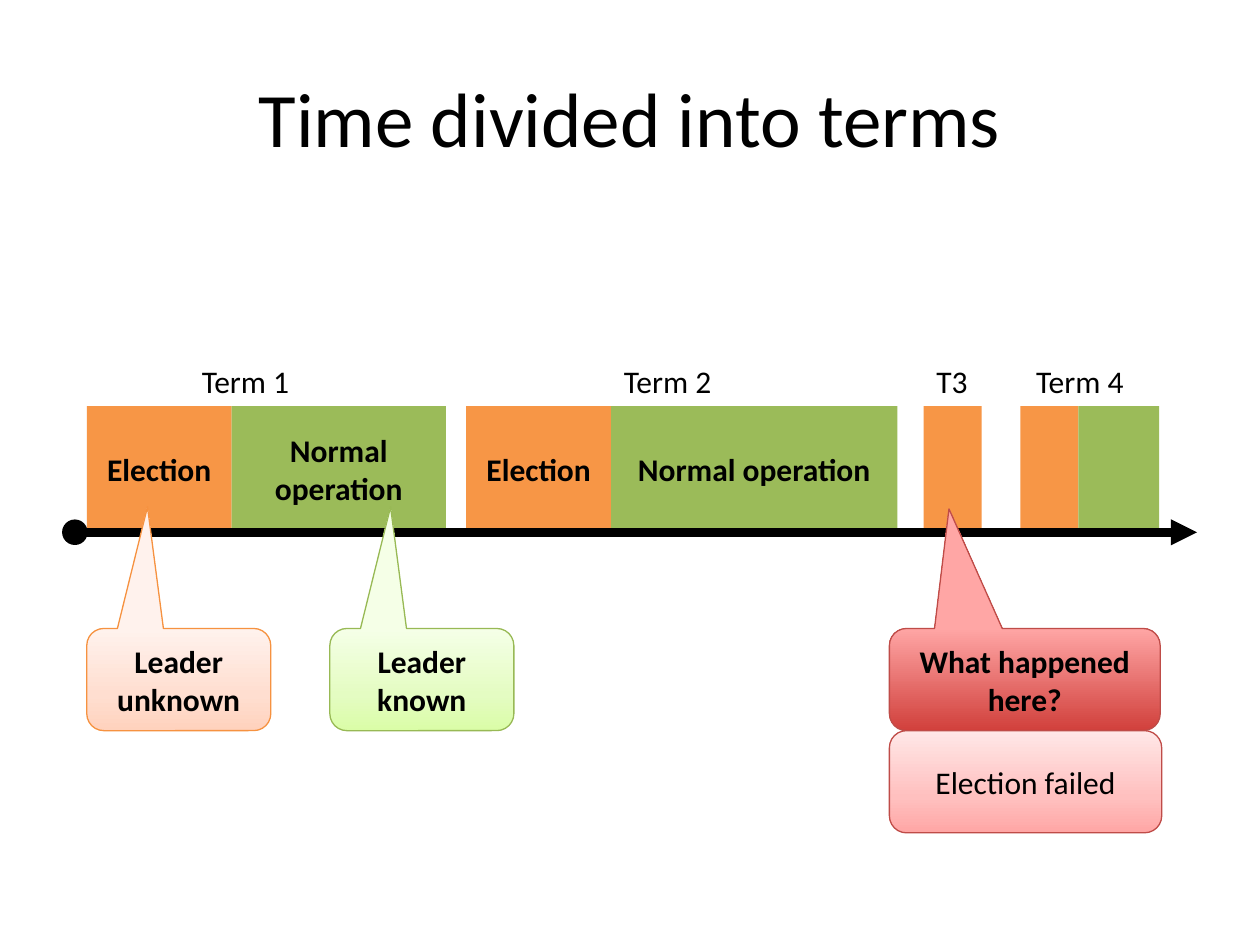
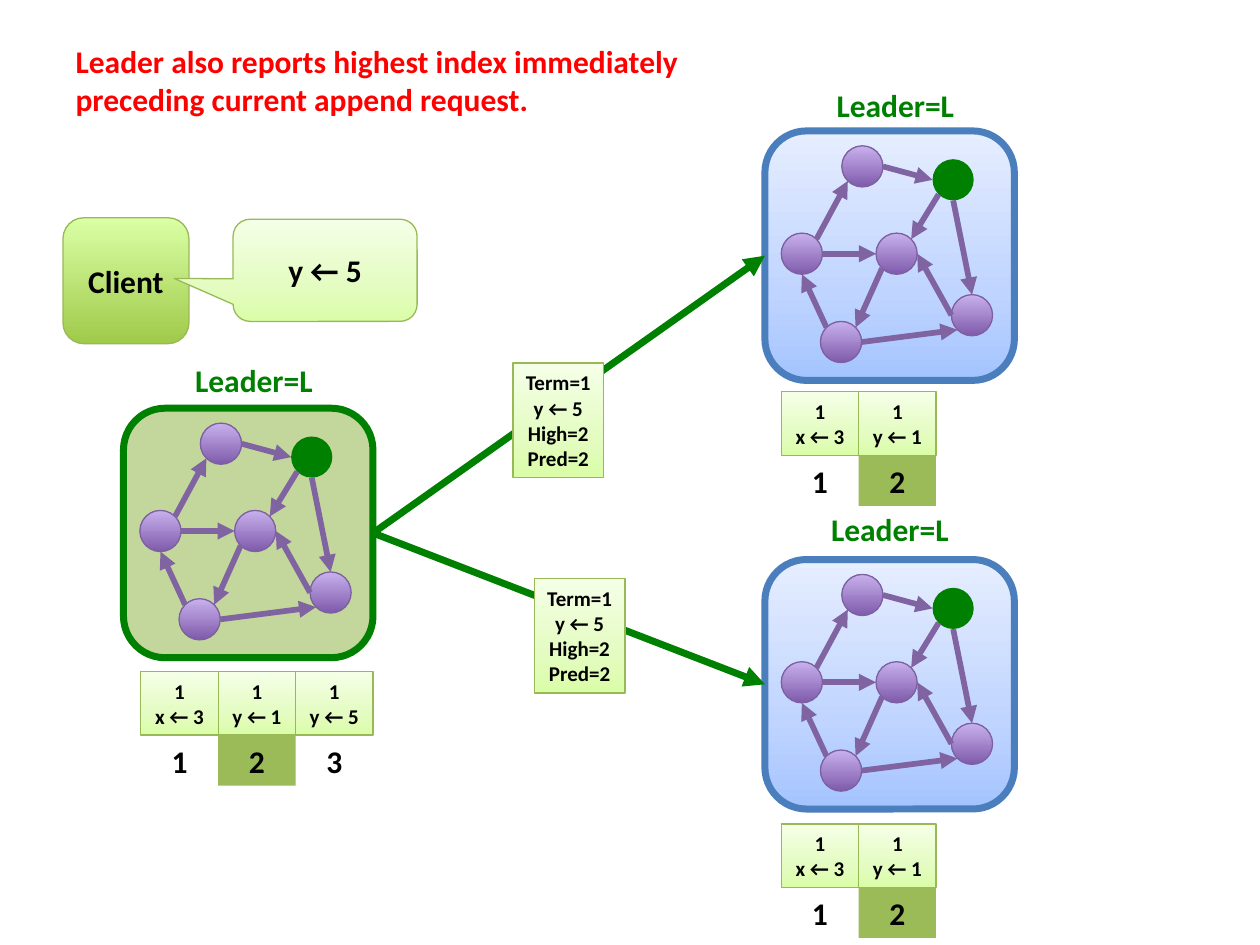
"""Build two slides on consensus: time divided into terms, and a leader's append request."""
from copy import deepcopy
from math import cos, radians, sin

from lxml.etree import SubElement
from pptx import Presentation
from pptx.dml.color import RGBColor
from pptx.enum.shapes import MSO_CONNECTOR, MSO_SHAPE
from pptx.enum.text import MSO_ANCHOR, PP_ALIGN
from pptx.oxml.ns import qn
from pptx.util import Cm, Pt

BLACK = RGBColor(0x00, 0x00, 0x00)
RED = RGBColor(0xFF, 0x00, 0x00)
GREEN = RGBColor(0x00, 0x80, 0x00)
ELECTION = RGBColor(0xF7, 0x96, 0x46)
NORMAL = RGBColor(0x9B, 0xBB, 0x59)
LEADER_PANEL = RGBColor(0xC3, 0xD6, 0x9B)
ORANGE_EDGE = RGBColor(0xF6, 0x92, 0x40)
GREEN_EDGE = RGBColor(0x98, 0xB9, 0x55)
RED_EDGE = RGBColor(0xBF, 0x4C, 0x48)
BLUE_EDGE = RGBColor(0x4B, 0x7E, 0xBC)
NODE_EDGE = RGBColor(0x7D, 0x60, 0xA0)
LINK = RGBColor(0x80, 0x64, 0xA2)
ORANGE_TINT = [(0, RGBColor(0xFF, 0xD2, 0xBD)), (0.35, RGBColor(0xFF, 0xDE, 0xD0)), (1, RGBColor(0xFF, 0xF2, 0xED))]
GREEN_TINT = [(0, RGBColor(0xDA, 0xFD, 0xA7)), (0.35, RGBColor(0xE4, 0xFC, 0xC2)), (1, RGBColor(0xF5, 0xFF, 0xE7))]
RED_TINT = [(0, RGBColor(0xFF, 0xA6, 0xA5)), (0.35, RGBColor(0xFF, 0xC0, 0xBF)), (1, RGBColor(0xFF, 0xE7, 0xE7))]
BLUE_TINT = [(0, RGBColor(0xA4, 0xC4, 0xFF)), (0.35, RGBColor(0xBF, 0xD4, 0xFF)), (1, RGBColor(0xE6, 0xEE, 0xFF))]
RED_SHADE = [(0, RGBColor(0xD1, 0x40, 0x3C)), (1, RGBColor(0xFF, 0xA6, 0xA5))]
GREEN_SHADE = [(0, RGBColor(0xA0, 0xCA, 0x4A)), (1, RGBColor(0xDA, 0xFF, 0xA5))]
PURPLE_SHADE = [(0, RGBColor(0x7F, 0x5B, 0xAB)), (1, RGBColor(0xC8, 0xB0, 0xED))]

BODY = {"name": "Calibri", "size": Pt(18), "bold": False}
STRONG = {**BODY, "bold": True}
SMALL = {**STRONG, "size": Pt(12)}
TITLE = {**BODY, "size": Pt(44)}


def block(slide, kind, box, text="", fill=None, edge=None, weight=0.75,
          style=STRONG, color=BLACK, wrap=True, adjust=()):
    """Add a shape, or a text box when kind is None, with box given in centimetres."""
    place = [Cm(length) for length in box]
    shape = slide.shapes.add_shape(kind, *place) if kind else slide.shapes.add_textbox(*place)
    shape.shadow.inherit = False
    for index, value in enumerate(adjust):
        shape.adjustments[index] = value
    if fill is None:
        shape.fill.background()
    elif isinstance(fill, list):
        shape.fill.gradient()
        shape.fill.gradient_angle = 90
        stops = shape._element.spPr.find(".//" + qn("a:gsLst"))
        while len(stops) < len(fill):
            stops.append(deepcopy(stops[0]))
        for stop, (position, tone) in zip(shape.fill.gradient_stops, fill):
            stop.position = position
            stop.color.rgb = tone
    else:
        shape.fill.solid()
        shape.fill.fore_color.rgb = fill
    if edge is None:
        shape.line.fill.background()
    else:
        shape.line.color.rgb = edge
        shape.line.width = Pt(weight)
    if text:
        frame = shape.text_frame
        frame.text = text
        frame.word_wrap = wrap
        frame.vertical_anchor = MSO_ANCHOR.MIDDLE
        for paragraph in frame.paragraphs:
            paragraph.alignment = PP_ALIGN.CENTER
            paragraph.font.color.rgb = color
            for attribute, value in style.items():
                setattr(paragraph.font, attribute, value)
    return shape


def arrow(slide, start, end, color, weight):
    """Add a straight arrow between two points in centimetres."""
    line = slide.shapes.add_connector(MSO_CONNECTOR.STRAIGHT, *(Cm(value) for value in (*start, *end)))
    line.line.color.rgb = color
    line.line.width = Pt(weight)
    SubElement(line.line._get_or_add_ln(), qn("a:tailEnd"), type="triangle")
    SubElement(line._element.spPr, qn("a:effectLst"))
    return line


deck = Presentation()
deck.slide_width, deck.slide_height = Cm(25.4), Cm(19.05)
terms_slide, append_slide = [deck.slides.add_slide(deck.slide_layouts[5]) for _ in range(2)]

headings = [
    (terms_slide, "Time divided into terms", (1.27, 0.76, 22.86, 3.18), TITLE, BLACK, PP_ALIGN.CENTER),
    (append_slide, "Leader also reports highest index immediately preceding current append request.",
     (1.27, 0.71, 13.74, 1.8), STRONG, RED, PP_ALIGN.LEFT),
]
for slide, words, box, style, color, alignment in headings:
    heading = slide.shapes.title
    heading.left, heading.top, heading.width, heading.height = [Cm(length) for length in box]
    heading.text_frame.text = words
    heading.text_frame.vertical_anchor = MSO_ANCHOR.MIDDLE
    paragraph = heading.text_frame.paragraphs[0]
    paragraph.alignment = alignment
    paragraph.font.color.rgb = color
    for attribute, value in style.items():
        setattr(paragraph.font, attribute, value)

PHASE_TOP, PHASE_HEIGHT, AXIS_Y, LABEL_WIDTH = 8.19, 2.54, 10.73, 2.29
terms = [
    ("Term 1", 4.95, 1.75, [("Election", 2.92, ELECTION), ("Normal operation", 4.32, NORMAL)]),
    ("Term 2", 13.46, 9.4, [("Election", 2.92, ELECTION), ("Normal operation", 5.77, NORMAL)]),
    ("T3", 19.19, 18.62, [("", 1.17, ELECTION)]),
    ("Term 4", 21.77, 20.57, [("", 1.17, ELECTION), ("", 1.63, NORMAL)]),
]
for term, center, left, phases in terms:
    block(terms_slide, None, (center - LABEL_WIDTH / 2, 7.16, LABEL_WIDTH, 1.02), term, style=BODY, wrap=False)
    for phase, width, color in phases:
        block(terms_slide, MSO_SHAPE.RECTANGLE, (left, PHASE_TOP, width, PHASE_HEIGHT), phase, color)
        left += width

arrow(terms_slide, (1.27, AXIS_Y), (24.13, AXIS_Y), BLACK, 5)
block(terms_slide, MSO_SHAPE.OVAL, (1.27, AXIS_Y - 0.24, 0.48, 0.48), fill=BLACK, edge=BLACK, weight=1)

remarks = [
    ("Leader unknown", 1.75, 3.71, ORANGE_TINT, ORANGE_EDGE, (-0.17, -1.69)),
    ("Leader known", 6.65, 3.71, GREEN_TINT, GREEN_EDGE, (-0.17, -1.69)),
    ("What happened here?", 17.93, 5.46, RED_SHADE, RED_EDGE, (-0.28, -1.67)),
]
for remark, left, width, fill, edge, tip in remarks:
    block(terms_slide, MSO_SHAPE.ROUNDED_RECTANGULAR_CALLOUT, (left, 12.67, width, 2.06),
          remark, fill, edge, adjust=tip)
block(terms_slide, MSO_SHAPE.ROUNDED_RECTANGLE, (17.93, 14.73, 5.49, 2.06), "Election failed",
      RED_TINT, RED_EDGE, style=BODY)

PANEL, NODE, CELL, CELL_HEIGHT = 5.03, 0.83, 1.56, 1.28
nodes = {"west": (0.33, 2.06), "south": (1.12, 3.84), "hub": (2.24, 2.06),
         "leader": (3.38, 0.57), "east": (3.76, 3.3), "north": (1.55, 0.3)}
links = [("west", -45, "north", 135), ("leader", 90, "east", -90), ("south", 0, "east", 135),
         ("leader", 135, "hub", -45), ("west", 0, "hub", 180), ("east", 180, "hub", 0),
         ("hub", 135, "south", -45), ("south", -135, "west", 90), ("north", 0, "leader", 180)]
FOLLOWER_LOG = ["x ← 3", "y ← 1"]
servers = [
    (15.42, 2.64, BLUE_TINT, BLUE_EDGE, (16.59, 1.6), (15.75, 7.9), FOLLOWER_LOG),
    (15.42, 11.28, BLUE_TINT, BLUE_EDGE, (16.48, 10.16), (15.75, 16.61), FOLLOWER_LOG),
    (2.49, 8.23, LEADER_PANEL, GREEN, (3.66, 7.14), (2.84, 13.54), FOLLOWER_LOG + ["y ← 5"]),
]
panels = []
for left, top, fill, edge, caption_at, (log_left, log_top), log in servers:
    panels.append(block(append_slide, MSO_SHAPE.ROUNDED_RECTANGLE, (left, top, PANEL, PANEL),
                        fill=fill, edge=edge, weight=4))
    for node, (x, y) in nodes.items():
        is_leader = node == "leader"
        block(append_slide, MSO_SHAPE.OVAL, (left + x, top + y, NODE, NODE),
              fill=GREEN if is_leader else PURPLE_SHADE, edge=None if is_leader else NODE_EDGE)
    for source, source_angle, target, target_angle in links:
        ends = [(left + nodes[node][0] + NODE / 2 * (1 + cos(radians(angle))),
                 top + nodes[node][1] + NODE / 2 * (1 + sin(radians(angle))))
                for node, angle in ((source, source_angle), (target, target_angle))]
        arrow(append_slide, *ends, LINK, 3.25)
    block(append_slide, None, (*caption_at, 2.92, 1.02), "Leader=L", color=GREEN, wrap=False)
    for index, entry in enumerate(log, 1):
        x = log_left + (index - 1) * CELL
        block(append_slide, MSO_SHAPE.RECTANGLE, (x, log_top, CELL, CELL_HEIGHT), f"1\n{entry}",
              GREEN_TINT, GREEN_EDGE, style=SMALL, wrap=False)
        is_high = index == 2
        block(append_slide, MSO_SHAPE.RECTANGLE if is_high else None,
              (x, log_top + CELL_HEIGHT, CELL, 1.02), str(index), NORMAL if is_high else None)

block(append_slide, MSO_SHAPE.ROUNDED_RECTANGLE, (1.27, 4.39, 2.54, 2.54), "Client", GREEN_SHADE, GREEN_EDGE)
block(append_slide, MSO_SHAPE.ROUNDED_RECTANGULAR_CALLOUT, (4.7, 4.42, 3.71, 2.06), "y ← 5",
      GREEN_TINT, GREEN_EDGE, adjust=(-0.82, 0.08))

*followers, leader = panels
for follower, message_at in zip(followers, [(10.34, 7.32), (10.77, 11.66)]):
    request = arrow(append_slide, (0, 0), (1, 1), GREEN, 4)
    request.begin_connect(leader, 3)
    request.end_connect(follower, 1)
    block(append_slide, MSO_SHAPE.RECTANGLE, (*message_at, 1.83, 2.31), "Term=1\ny ← 5\nHigh=2\nPred=2",
          GREEN_TINT, GREEN_EDGE, style=SMALL, wrap=False)

deck.save("out.pptx")
